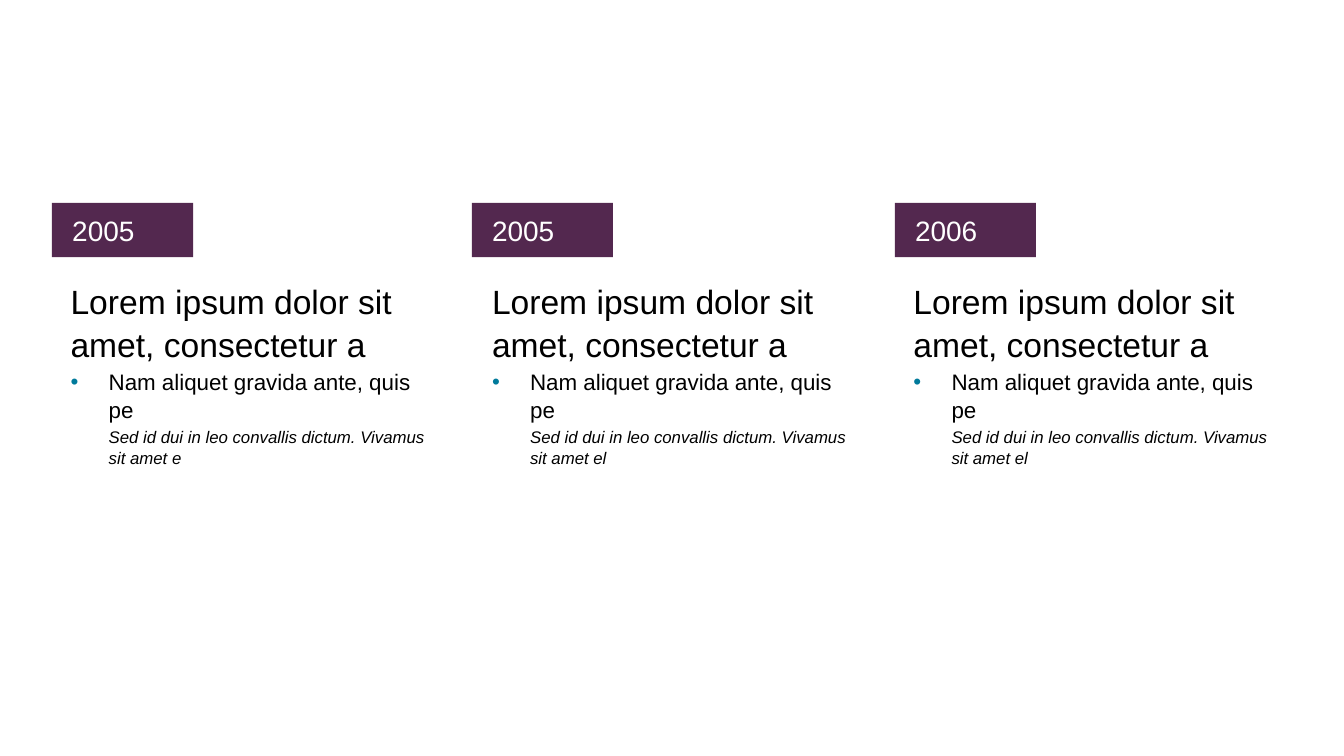
from lxml import etree
from pptx import Presentation
from pptx.dml.color import RGBColor
from pptx.enum import shapes, text
from pptx.oxml import ns
from pptx.util import Cm, Pt

HEADING = "Lorem ipsum dolor sit amet, consectetur a"
BULLET = "Nam aliquet gravida ante, quis pe"
# year, left edge of the year badge (cm), detail line
MILESTONES = [
    ("2005", 1.31, "Sed id dui in leo convallis dictum. Vivamus sit amet e"),
    ("2005", 11.89, "Sed id dui in leo convallis dictum. Vivamus sit amet el"),
    ("2006", 22.55, "Sed id dui in leo convallis dictum. Vivamus sit amet el"),
]
COLORS = {"badge": "53284F", "badge_text": "FFFFFF", "text": "000000", "bullet": "007A9B"}
FONT = "Arial"
LEFT, PITCH = 1.27, 10.62
BADGE_TOP, BADGE_WIDTH, BADGE_HEIGHT = 5.11, 3.56, 1.37
BODY_TOP, BODY_WIDTH, BODY_HEIGHT = 6.91, 10.06, 10.54
INDENT = 0.96


def color(name):
    return RGBColor.from_string(COLORS[name])


def set_frame(frame, vertical, right, anchor, wrap):
    frame.margin_left, frame.margin_right = Cm(0.51), Cm(right)
    frame.margin_top = frame.margin_bottom = Cm(vertical)
    frame.vertical_anchor = anchor
    frame.word_wrap = wrap


def write(paragraph, content, size, color_name="text", italic=False,
          before=0, spacing=1.05, indent=0, bullet=False):
    paragraph.alignment = text.PP_ALIGN.LEFT
    paragraph.space_before = Pt(before)
    paragraph.line_spacing = spacing
    properties = paragraph._p.get_or_add_pPr()
    properties.set("marL", str(Cm(indent)))
    properties.set("indent", str(-Cm(indent) if bullet else 0))
    if bullet:
        bullet_color = etree.SubElement(properties, ns.qn("a:buClr"))
        etree.SubElement(bullet_color, ns.qn("a:srgbClr"), val=COLORS["bullet"])
        etree.SubElement(properties, ns.qn("a:buFont"), typeface=FONT)
        etree.SubElement(properties, ns.qn("a:buChar"), char="•")
    run = paragraph.add_run()
    run.text = content
    run.font.name = FONT
    run.font.size = Pt(size)
    run.font.italic = italic
    run.font.color.rgb = color(color_name)


def add_badge(slide, year, left):
    badge = slide.shapes.add_shape(
        shapes.MSO_SHAPE.RECTANGLE, Cm(left), Cm(BADGE_TOP), Cm(BADGE_WIDTH), Cm(BADGE_HEIGHT))
    badge.shadow.inherit = False
    badge.fill.solid()
    badge.fill.fore_color.rgb = color("badge")
    badge.line.fill.background()
    set_frame(badge.text_frame, 0.25, 0.51, text.MSO_ANCHOR.MIDDLE, False)
    write(badge.text_frame.paragraphs[0], year, 20, "badge_text")


def add_body(slide, detail, left):
    body = slide.shapes.add_textbox(Cm(left), Cm(BODY_TOP), Cm(BODY_WIDTH), Cm(BODY_HEIGHT))
    frame = body.text_frame
    set_frame(frame, 0.13, 0.25, text.MSO_ANCHOR.TOP, True)
    write(frame.paragraphs[0], HEADING, 24)
    write(frame.add_paragraph(), BULLET, 16, before=2, indent=INDENT, bullet=True)
    write(frame.add_paragraph(), detail, 12, italic=True, before=2, indent=INDENT)


def main():
    presentation = Presentation()
    presentation.slide_width, presentation.slide_height = Cm(33.87), Cm(19.05)
    slide = presentation.slides.add_slide(presentation.slide_layouts[6])
    for column, (year, badge_left, detail) in enumerate(MILESTONES):
        add_body(slide, detail, LEFT + column * PITCH)
        add_badge(slide, year, badge_left)
    presentation.save("out.pptx")


if __name__ == "__main__":
    main()
